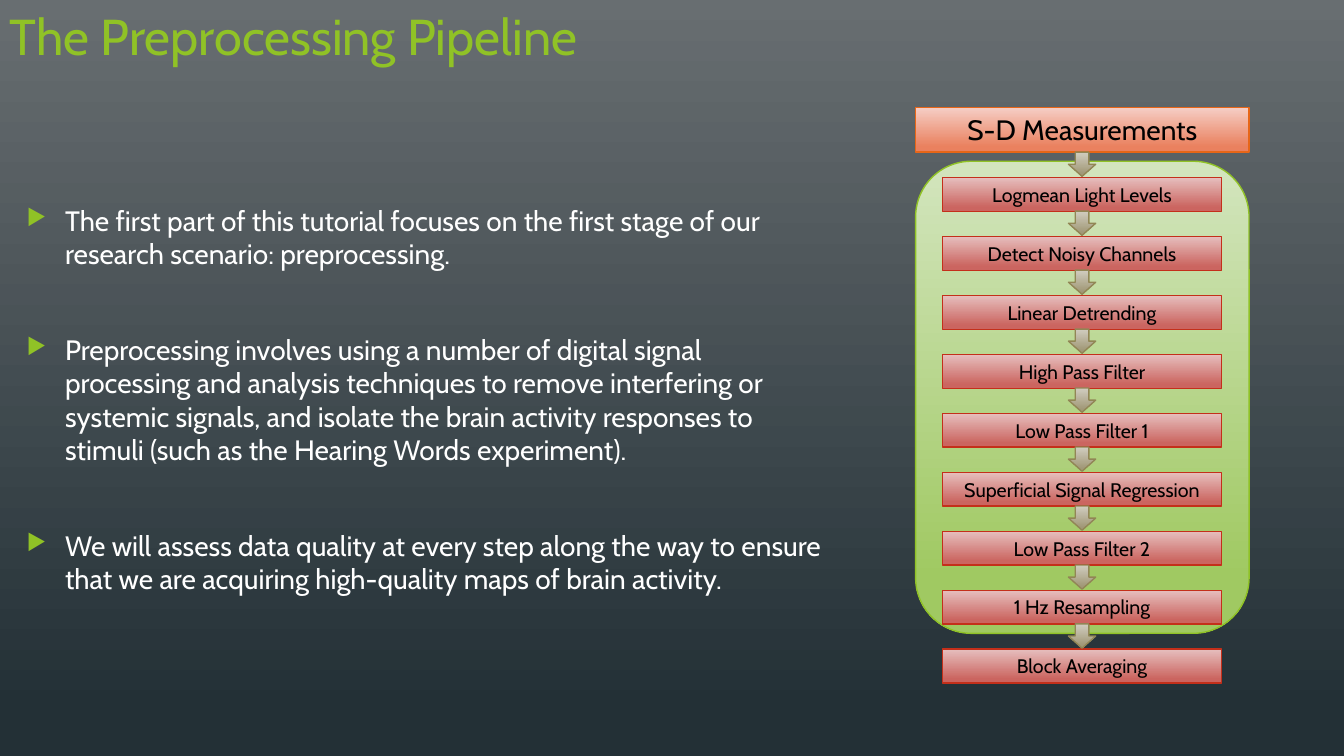
from lxml.etree import SubElement
from pptx import Presentation
from pptx.dml.color import RGBColor
from pptx.enum.shapes import MSO_SHAPE
from pptx.enum.text import MSO_ANCHOR, PP_ALIGN
from pptx.oxml.ns import qn
from pptx.util import Inches, Pt

FONT = "Cabin"
COLUMNS, ROWS = 160, 90
COLORS = {
    "backdrop_top": "686E71", "backdrop_bottom": "233036",
    "accent": "90C226", "white": "FFFFFF", "black": "000000",
    "stage_top": "D3E5BE", "stage_bottom": "A0C962", "stage_line": "90C226",
    "input_top": "F5CEC5", "input_bottom": "EA815F", "input_line": "E76618",
    "step_top": "E6BFBE", "step_bottom": "CB6560", "step_line": "C42F1A",
    "arrow_top": "D1CDC0", "arrow_bottom": "A19877", "arrow_line": "918655",
}
BODY = [
    "The first part of this tutorial focuses on the first stage of our "
    "research scenario: preprocessing.",
    "Preprocessing involves using a number of digital signal processing and "
    "analysis techniques to remove interfering or systemic signals, and "
    "isolate the brain activity responses to stimuli (such as the Hearing "
    "Words experiment).",
    "We will assess data quality at every step along the way to ensure that "
    "we are acquiring high-quality maps of brain activity.",
]
STEPS = [
    "Logmean Light Levels", "Detect Noisy Channels", "Linear Detrending",
    "High Pass Filter", "Low Pass Filter 1", "Superficial Signal Regression",
    "Low Pass Filter 2", "1 Hz Resampling", "Block Averaging",
]


def color(name):
    return RGBColor.from_string(COLORS[name])


class SlideBuilder:
    """Places styled elements on a grid of columns and rows."""

    def __init__(self, presentation):
        self.column = presentation.slide_width / COLUMNS
        self.row = presentation.slide_height / ROWS
        self.slide = presentation.slides.add_slide(presentation.slide_layouts[6])

    def place(self, left, top, width, height):
        return (int(left * self.column), int(top * self.row),
                int(width * self.column), int(height * self.row))

    def shade(self, fill, theme, end):
        fill.gradient()
        fill.gradient_angle = 270  # top to bottom
        first, last = fill.gradient_stops
        first.color.rgb, first.position = color(theme + "_top"), 0
        last.color.rgb, last.position = color(theme + "_bottom"), end

    def background(self, theme):
        self.shade(self.slide.background.fill, theme, 0.94)

    def add_text(self, paragraph, text, size, color_name):
        run = paragraph.add_run()
        run.text = text
        run.font.name = FONT
        run.font.size = Pt(size)
        run.font.color.rgb = color(color_name)

    def text_frame(self, *box):
        frame = self.slide.shapes.add_textbox(*self.place(*box)).text_frame
        frame.word_wrap = True
        return frame

    def title(self, text, *box):
        frame = self.text_frame(*box)
        self.add_text(frame.paragraphs[0], text, 36, "accent")

    def bullets(self, texts, *box):
        frame = self.text_frame(*box)
        for index, text in enumerate(texts):
            paragraph = frame.add_paragraph() if index else frame.paragraphs[0]
            self.add_bullet(paragraph)
            if index:
                paragraph.space_before = Pt(44)
            self.add_text(paragraph, text, 20, "white")

    def add_bullet(self, paragraph):
        properties = paragraph._p.get_or_add_pPr()
        properties.set("marL", str(Inches(0.38)))
        properties.set("indent", str(-Inches(0.38)))
        bullet_color = SubElement(properties, qn("a:buClr"))
        SubElement(bullet_color, qn("a:srgbClr"), val=COLORS["accent"])
        SubElement(properties, qn("a:buSzPct"), val="80000")
        SubElement(properties, qn("a:buChar"), char="▶")

    def shape(self, kind, theme, *box):
        shape = self.slide.shapes.add_shape(kind, *self.place(*box))
        shape.shadow.inherit = False
        self.shade(shape.fill, theme, 0.88)
        shape.line.color.rgb = color(theme + "_line")
        shape.line.width = Pt(1)
        return shape

    def labelled_box(self, text, size, theme, *box):
        frame = self.shape(MSO_SHAPE.RECTANGLE, theme, *box).text_frame
        frame.word_wrap = True
        frame.vertical_anchor = MSO_ANCHOR.MIDDLE
        paragraph = frame.paragraphs[0]
        paragraph.alignment = PP_ALIGN.CENTER
        self.add_text(paragraph, text, size, "black")


def main():
    presentation = Presentation()
    presentation.slide_width = Inches(13.33)
    presentation.slide_height = Inches(7.5)
    builder = SlideBuilder(presentation)
    builder.background("backdrop")

    # Title and explanation
    builder.title("The Preprocessing Pipeline", 0, 0, 112.8, 17.3)
    builder.bullets(BODY, 2, 23.6, 97, 55.6)

    # Pipeline input and the preprocessing stage behind the steps
    builder.shape(MSO_SHAPE.ROUNDED_RECTANGLE, "stage", 109, 19.2, 39.7, 56.2)
    builder.labelled_box("S-D Measurements", 20, "input", 109, 12.8, 39.7, 5.3)

    # Steps, each with the arrow that leads into it
    first_top, pitch = 21.12, 7.02
    for index, step in enumerate(STEPS):
        top = first_top + index * pitch
        builder.labelled_box(step, 14, "step", 112.2, top, 33.24, 4.04)
        builder.shape(MSO_SHAPE.DOWN_ARROW, "arrow", 127.2, top - 3, 3.24, 2.88)

    presentation.save("out.pptx")


if __name__ == "__main__":
    main()
